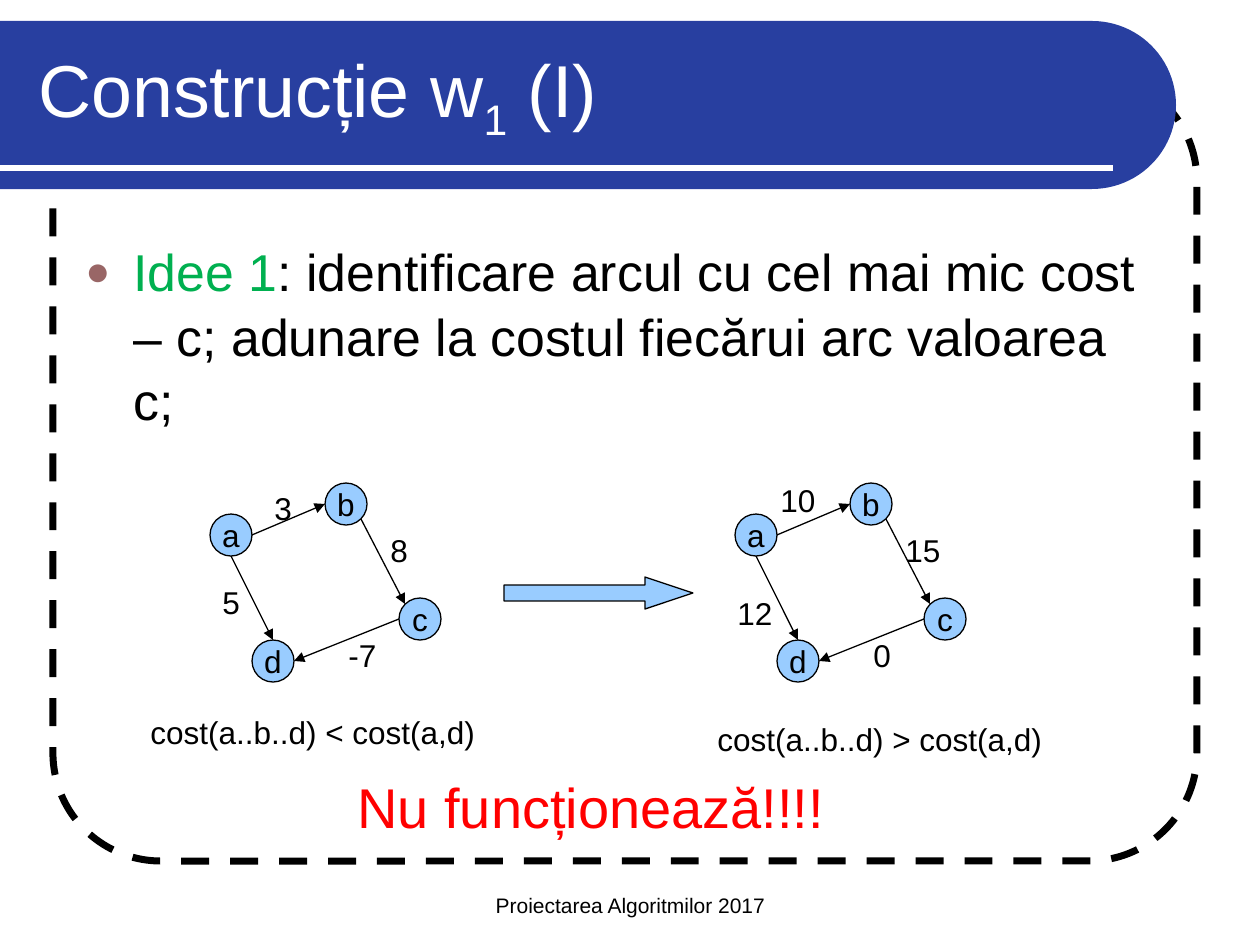
from math import cos, pi, sin

from lxml.etree import SubElement
from pptx import Presentation
from pptx.dml.color import RGBColor
from pptx.enum.dml import MSO_LINE
from pptx.enum.shapes import MSO_CONNECTOR, MSO_SHAPE
from pptx.enum.text import MSO_ANCHOR as Anchor, MSO_AUTO_SIZE as AutoSize, PP_ALIGN as Align
from pptx.oxml.ns import qn
from pptx.util import Emu, Pt

BLACK = RGBColor(0x00, 0x00, 0x00)
WHITE = RGBColor(0xFF, 0xFF, 0xFF)
NAVY = RGBColor(0x28, 0x3F, 0xA0)
SKY = RGBColor(0x99, 0xCC, 0xFF)
GREEN = RGBColor(0x00, 0xB0, 0x50)
RED = RGBColor(0xFF, 0x00, 0x00)
BULLET_COLOR = "996666"

EMU_PER_PX = 914400 / 126
NODE_SIZE = 42
NODES = {"a": (210, 514), "b": (325, 483), "c": (399, 598), "d": (252, 640)}
# Points on a node's outline, as offsets from its top left corner
TOP, LEFT, BOTTOM, RIGHT = (21, 0), (0, 21), (21, 42), (42, 21)
UPPER_LEFT, LOWER_RIGHT = (6, 6), (36, 36)
ARCS = [
    ("a", RIGHT, "b", LEFT),
    ("a", BOTTOM, "d", TOP),
    ("b", LOWER_RIGHT, "c", UPPER_LEFT),
    ("c", LEFT, "d", RIGHT),
]


def px(value):
    return Emu(round(value * EMU_PER_PX))


def write(frame, text, *, size=18, color=BLACK, align=Align.LEFT, anchor=Anchor.TOP,
          wrap=False, grow=False):
    """Fill a frame with text, or with a list of (text, color, is_subscript) runs."""
    frame.word_wrap = wrap
    frame.vertical_anchor = anchor
    frame.auto_size = AutoSize.SHAPE_TO_FIT_TEXT if grow else AutoSize.NONE
    paragraph = frame.paragraphs[0]
    paragraph.alignment = align
    runs = [(text, color, False)] if isinstance(text, str) else text
    for words, run_color, subscript in runs:
        run = paragraph.add_run()
        run.text = words
        run.font.name = "Arial"
        run.font.size = Pt(size)
        run.font.color.rgb = run_color
        if subscript:
            run.font._element.set("baseline", "-25000")
    return paragraph


class SlideBuilder:
    def __init__(self, slide):
        self.slide = slide
        self.fill = SKY
        self.line = BLACK
        self.thin = 0.75

    def style(self, shape, fill, line, width):
        shape.shadow.inherit = False
        if fill is None:
            shape.fill.background()
        else:
            shape.fill.solid()
            shape.fill.fore_color.rgb = fill
        if line is None:
            shape.line.fill.background()
        else:
            shape.line.color.rgb = line
            shape.line.width = Pt(width)

    def frame(self, x, y, w, h):
        border = self.slide.shapes.add_shape(MSO_SHAPE.ROUNDED_RECTANGLE, *map(px, (x, y, w, h)))
        border.adjustments[0] = 0.137
        self.style(border, None, self.line, 4)
        border.line.dash_style = MSO_LINE.DASH

    def banner(self, y, width, height):
        """A bar from the left edge with a half-round right end."""
        radius = height / 2
        steps = 48
        angles = [-pi / 2 + pi * step / steps for step in range(steps + 1)]
        outline = [(width - radius + radius * cos(angle), y + radius + radius * sin(angle))
                   for angle in angles]
        builder = self.slide.shapes.build_freeform(0, px(y), scale=1.0)
        builder.add_line_segments([(px(left), px(top)) for left, top in outline]
                                  + [(0, px(y + height))], close=True)
        self.style(builder.convert_to_shape(), NAVY, None, 0)

    def straight(self, start, end, color=None, width=None, arrow=False):
        line = self.slide.shapes.add_connector(
            MSO_CONNECTOR.STRAIGHT, *map(px, (*start, *end)))
        line.line.color.rgb = color or self.line
        line.line.width = Pt(width or self.thin)
        if arrow:
            SubElement(line.line._get_or_add_ln(), qn("a:tailEnd"), type="triangle")
        SubElement(line._element.spPr, qn("a:effectLst"))

    def text(self, x, y, w, h, text, **form):
        box = self.slide.shapes.add_textbox(*map(px, (x, y, w, h)))
        return write(box.text_frame, text, **form)

    def bullet(self, x, y, w, h, runs, size):
        paragraph = self.text(x, y, w, h, runs, size=size, wrap=True)
        paragraph.line_spacing = 1.04
        properties = paragraph._element.get_or_add_pPr()
        properties.set("marL", str(px(48)))
        properties.set("indent", str(-px(48)))
        bullet_color = SubElement(properties, qn("a:buClr"))
        SubElement(bullet_color, qn("a:srgbClr"), val=BULLET_COLOR)
        SubElement(properties, qn("a:buSzPct"), val="80000")
        SubElement(properties, qn("a:buFont"), typeface="Arial")
        SubElement(properties, qn("a:buChar"), char="●")

    def block_arrow(self, x, y, w, h):
        arrow = self.slide.shapes.add_shape(MSO_SHAPE.RIGHT_ARROW, *map(px, (x, y, w, h)))
        arrow.adjustments[0] = 0.5
        arrow.adjustments[1] = 1.5
        self.style(arrow, self.fill, self.line, self.thin)

    def node(self, x, y, name):
        circle = self.slide.shapes.add_shape(
            MSO_SHAPE.OVAL, *map(px, (x, y, NODE_SIZE, NODE_SIZE)))
        self.style(circle, self.fill, self.line, self.thin)
        write(circle.text_frame, name, align=Align.CENTER, anchor=Anchor.MIDDLE)

    def graph(self, shift, costs):
        """Draw the four nodes, their arcs and the (cost, x, y, width) labels."""
        places = {name: (x + shift, y) for name, (x, y) in NODES.items()}
        for name, place in places.items():
            self.node(*place, name)
        for source, exit_point, target, entry_point in ARCS:
            start, end = [(places[name][0] + dx, places[name][1] + dy)
                          for name, (dx, dy) in ((source, exit_point), (target, entry_point))]
            self.straight(start, end, arrow=True)
        for cost, x, y, width in costs:
            self.text(x, y, width, 50, cost, grow=True)


def main():
    deck = Presentation()
    deck.slide_width, deck.slide_height = px(1260), px(945)
    page = SlideBuilder(deck.slides.add_slide(deck.slide_layouts[6]))

    # Background frame, banner and footer
    page.frame(53, 73, 1144, 788)
    page.banner(21, 1176, 168)
    page.straight((0, 168), (1113, 168), color=WHITE, width=3)
    page.text(431, 861, 399, 63, "Proiectarea Algoritmilor 2017", size=12,
              align=Align.CENTER, anchor=Anchor.BOTTOM, wrap=True)

    # Title and idea
    page.text(26, 31, 1105, 126,
              [("Construcție w", WHITE, False), ("1", WHITE, True), (" (I)", WHITE, False)],
              size=42, anchor=Anchor.MIDDLE, wrap=True)
    page.bullet(73, 231, 1092, 210,
                [("Idee 1", GREEN, False),
                 (": identificare arcul cu cel mai mic cost – c; "
                  "adunare la costul fiecărui arc valoarea c;", BLACK, False)], size=29.6)

    # Graph before and after adding c to each arc
    page.graph(0, [("5", 210, 577, 43), ("3", 262, 483, 43),
                   ("8", 378, 525, 43), ("-7", 336, 630, 53)])
    page.block_arrow(504, 577, 189, 32)
    page.graph(525, [("12", 725, 588, 60), ("10", 768, 475, 60),
                     ("15", 893, 525, 60), ("0", 861, 630, 43)])

    # Comparison and conclusion
    page.text(705, 714, 350, 50, "cost(a..b..d) > cost(a,d)", grow=True)
    page.text(138, 707, 350, 50, "cost(a..b..d) < cost(a,d)", grow=True)
    page.text(345, 766, 493, 81, "Nu funcționează!!!!", size=32, color=RED, grow=True)

    deck.save("out.pptx")


if __name__ == "__main__":
    main()
